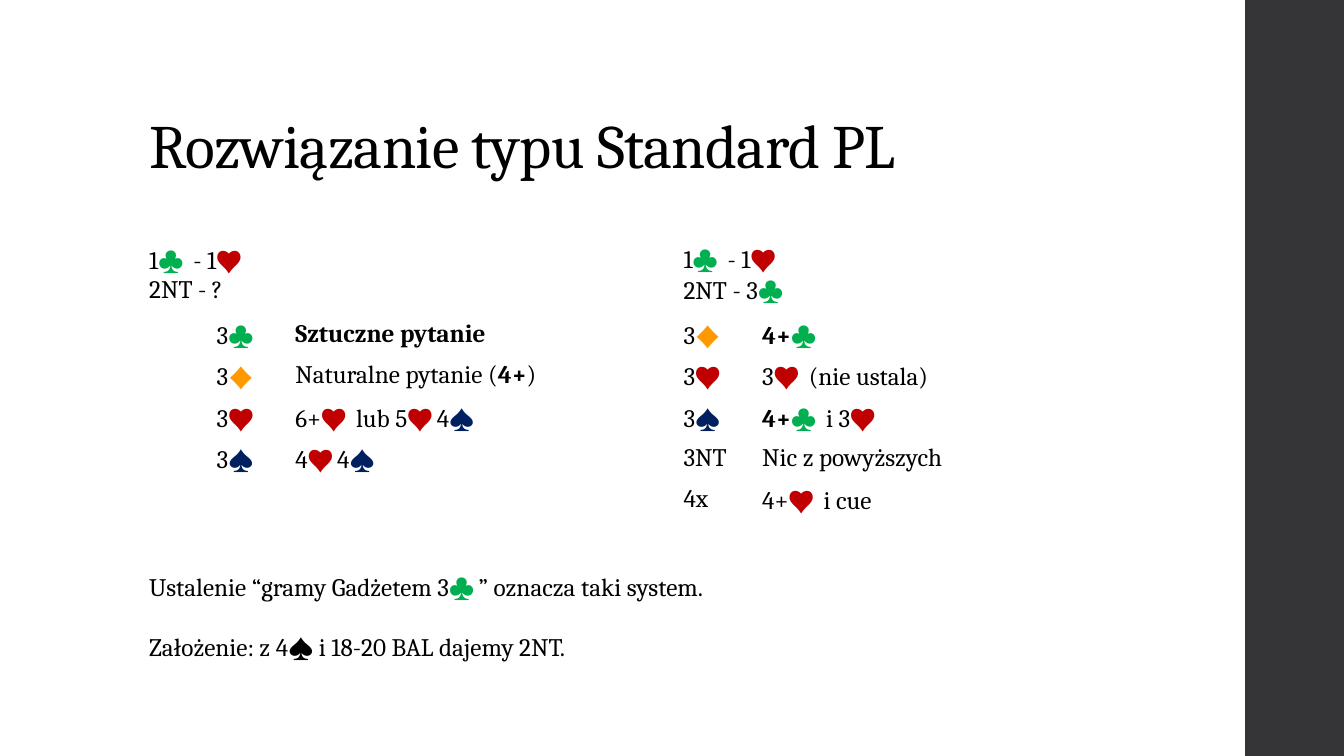
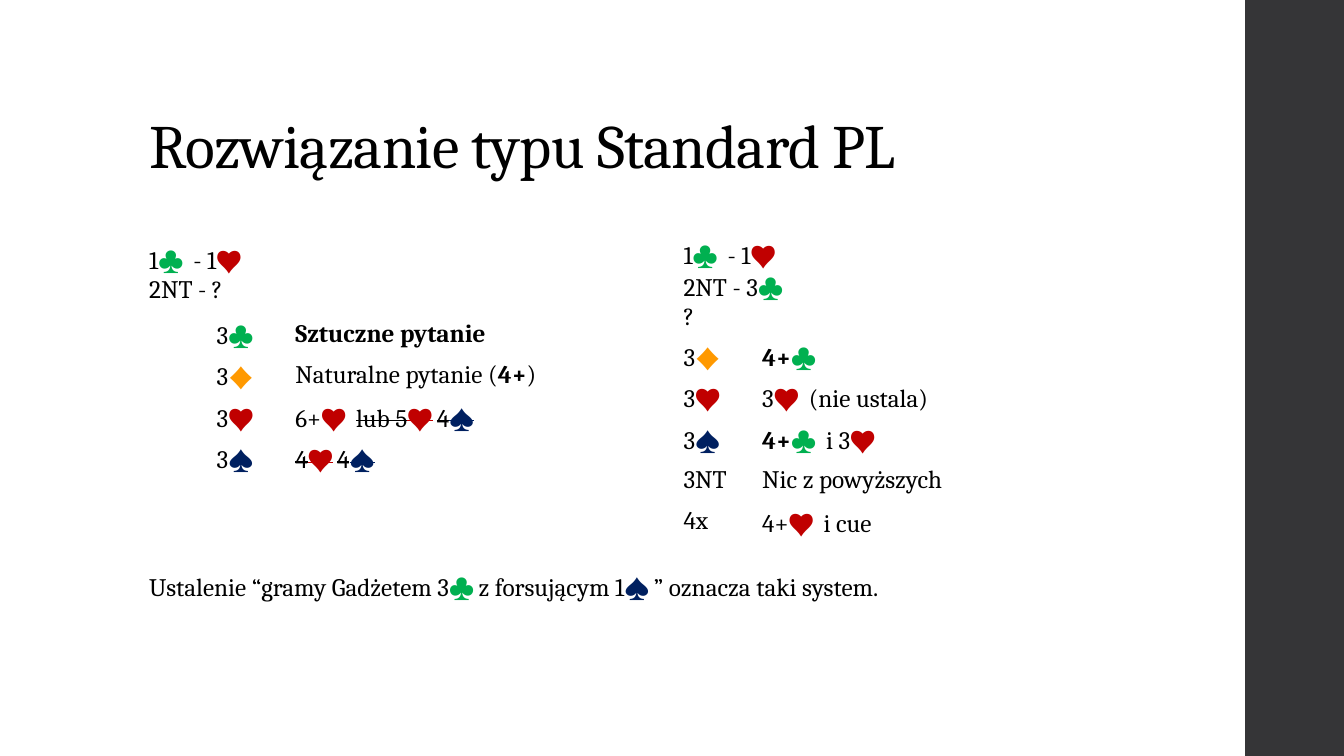
from dataclasses import dataclass
from itertools import groupby
from typing import Iterator, NamedTuple

from pptx import Presentation
from pptx.dml.color import RGBColor
from pptx.enum.shapes import MSO_SHAPE
from pptx.enum.text import MSO_ANCHOR, MSO_AUTO_SIZE, PP_ALIGN
from pptx.util import Inches, Pt

RECT = MSO_SHAPE.RECTANGLE
TOP, MIDDLE, BOTTOM = MSO_ANCHOR.TOP, MSO_ANCHOR.MIDDLE, MSO_ANCHOR.BOTTOM
LEFT = PP_ALIGN.LEFT
FIXED = MSO_AUTO_SIZE.NONE
TITLE_ONLY = 5


class Theme(NamedTuple):
    ink: str = "000000"
    band: str = "353537"
    font: str = "Cambria"
    symbol: str = "Lato"
    title: float = 44
    body: float = 18
    gap: float = 21
    suits: dict[str, str] = {
        "♣": "00B050", "♦": "FF9900", "♥": "C00000", "♠": "002060"}


THEME = Theme()


class Style(NamedTuple):
    suit: str
    bold: bool
    strike: bool


@dataclass(frozen=True)
class Grid:
    left: float
    cols: list[float]
    head: str
    rows: list[tuple[str, ...]]
    top: float = 2.33
    head_h: float = 0.79
    row_h: float = 0.41


@dataclass(frozen=True)
class Page:
    title: str
    grids: list[Grid]
    note: str
    note_h: float


def pieces(text: str) -> Iterator[tuple[str, Style]]:
    """Split marked text: *bold*, ~struck~, |suits left plain|."""
    on = {"*": False, "~": False, "|": False}
    marked = []
    for char in text:
        if char in on:
            on[char] = not on[char]
        else:
            suit = char if char in THEME.suits and not on["|"] else ""
            marked.append((char, Style(suit, on["*"], on["~"])))
    for style, group in groupby(marked, key=lambda item: item[1]):
        yield "".join(char for char, _ in group), style


def write(frame, text: str, gap: float = 0) -> None:
    for i, line in enumerate(text.split("\n")):
        para = frame.add_paragraph() if i else frame.paragraphs[0]
        para.alignment = LEFT
        if i:
            para.space_before = Pt(gap)
        for words, style in pieces(line):
            run = para.add_run()
            run.text = words
            font = run.font
            font.size = Pt(THEME.body)
            font.bold = style.bold
            font.name = THEME.symbol if style.suit else THEME.font
            color = THEME.suits.get(style.suit, THEME.ink)
            font.color.rgb = RGBColor.from_string(color)
            props = run._r.get_or_add_rPr()
            if style.suit:
                props.set("spc", "300")
            if style.strike:
                props.set("strike", "sngStrike")


def add_band(slide) -> None:
    band = slide.shapes.add_shape(
        RECT, Inches(12.35), Inches(0), Inches(0.98), Inches(7.5))
    band.shadow.inherit = False
    band.fill.solid()
    band.fill.fore_color.rgb = RGBColor.from_string(THEME.band)
    band.line.fill.background()


def set_title(slide, text: str) -> None:
    title = slide.shapes.title
    title.left, title.top = Inches(1.38), Inches(0.4)
    title.width, title.height = Inches(10.6), Inches(1.45)
    frame = title.text_frame
    frame.text = text
    frame.auto_size = FIXED
    frame.vertical_anchor = BOTTOM
    para = frame.paragraphs[0]
    para.alignment = LEFT
    para.line_spacing = 0.9
    run = para.runs[0]
    run.font.size = Pt(THEME.title)
    run.font.name = THEME.font
    run.font.color.rgb = RGBColor.from_string(THEME.ink)
    run._r.get_or_add_rPr().set("spc", "-50")


def add_grid(slide, grid: Grid) -> None:
    heights = [grid.head_h] + [grid.row_h] * len(grid.rows)
    table = slide.shapes.add_table(
        len(heights), len(grid.cols), Inches(grid.left), Inches(grid.top),
        Inches(sum(grid.cols)), Inches(sum(heights))).table
    table.first_row = table.horz_banding = False
    for col, width in zip(table.columns, grid.cols):
        col.width = Inches(width)
    for row, height in zip(table.rows, heights):
        row.height = Inches(height)
    for cell in table.iter_cells():
        cell.fill.background()
        cell.vertical_anchor = TOP
    head = table.cell(0, 0)
    head.merge(table.cell(0, len(grid.cols) - 1))
    head.vertical_anchor = MIDDLE
    write(head.text_frame, grid.head)
    for r, row in enumerate(grid.rows, 1):
        for c, text in enumerate(row):
            write(table.cell(r, c).text_frame, text)


def add_note(slide, text: str, height: float) -> None:
    box = slide.shapes.add_textbox(
        Inches(1.38), Inches(5.62), Inches(10.47), Inches(height))
    box.text_frame.word_wrap = True
    write(box.text_frame, text, THEME.gap)


def ask_grid(hearts: str, spades: str) -> Grid:
    """Responder's bids after 2NT, with the last two meanings given."""
    return Grid(1.38, [0.67, 0.78, 2.99], "1♣ - 1♥\n2NT - ?", [
        ("", "3♣", "*Sztuczne pytanie*"),
        ("", "3♦", "Naturalne pytanie (*4+*)"),
        ("", "3♥", hearts),
        ("", "3♠", spades),
    ])


def reply_grid(head: str, head_h: float) -> Grid:
    """Opener's replies to the artificial 3♣."""
    return Grid(6.68, [0.78, 2.99], head, [
        ("3♦", "*4+*♣"),
        ("3♥", "3♥ (nie ustala)"),
        ("3♠", "*4+*♣ i 3♥"),
        ("3NT", "Nic z powyższych"),
        ("4x", "4+♥ i cue"),
    ], head_h=head_h)


TITLE = "Rozwiązanie typu Standard PL"
PAGES = [
    Page(TITLE,
         [ask_grid("6+♥ lub 5♥4♠", "4♥4♠"),
          reply_grid("1♣ - 1♥\n2NT - 3♣", 0.79)],
         "Ustalenie “gramy Gadżetem 3♣” oznacza taki system.\n"
         "Założenie: z 4|♠| i 18-20 BAL dajemy 2NT.", 1.31),
    Page(TITLE,
         [ask_grid("6+♥ ~lub 5♥4♠~", "~4♥4♠~"),
          reply_grid("1♣ - 1♥\n2NT - 3♣\n?", 1.01)],
         "Ustalenie “gramy Gadżetem 3♣z forsującym 1♠” oznacza taki system.",
         0.71),
]


def main() -> None:
    deck = Presentation()
    deck.slide_width, deck.slide_height = Inches(13.33), Inches(7.5)
    for page in PAGES:
        slide = deck.slides.add_slide(deck.slide_layouts[TITLE_ONLY])
        add_band(slide)
        set_title(slide, page.title)
        for grid in page.grids:
            add_grid(slide, grid)
        add_note(slide, page.note, page.note_h)
    deck.save("out.pptx")


if __name__ == "__main__":
    main()
